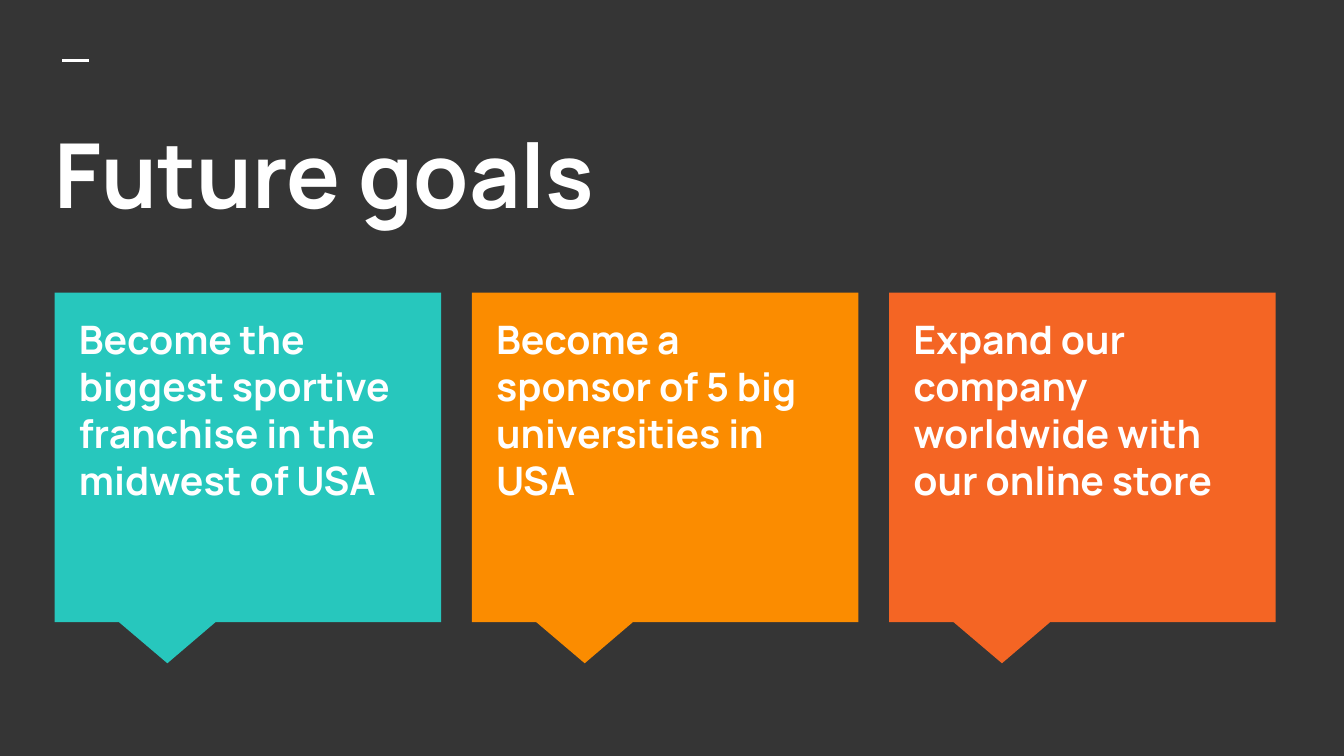
import pptx
import pptx.util
import pptx.dml.color
import pptx.enum.shapes
import pptx.enum.text
import pptx.oxml.ns
from dataclasses import dataclass
from lxml import etree
from pptx.util import Cm, Pt


@dataclass(frozen=True)
class Theme:
    back: str = "353535"
    text: str = "FFFFFF"
    cards: tuple = ("27C7BD", "FB8C00", "F46524")
    font: str = "Manrope"
    head: int = 48
    body: int = 21


THEME = Theme()
GOALS = (
    "Become the biggest sportive franchise in the midwest of USA",
    "Become a sponsor of 5 big universities in USA",
    "Expand our company worldwide with our online store",
)


def color(code):
    return pptx.dml.color.RGBColor.from_string(code)


def write(slide, words, size, left, top, width, height):
    box = slide.shapes.add_textbox(Cm(left), Cm(top), Cm(width), Cm(height))
    frame = box.text_frame
    frame.word_wrap = True
    frame.vertical_anchor = pptx.enum.text.MSO_ANCHOR.TOP
    frame.margin_left = frame.margin_right = Cm(0.25)
    frame.margin_top = frame.margin_bottom = Cm(0.25)
    para = frame.paragraphs[0]
    para.text = words
    font = para.font
    font.name, font.size, font.bold = THEME.font, Pt(size), True
    font.color.rgb = color(THEME.text)


def header(slide, left, top, width, height):
    """Short dash with the slide title below it."""
    dash = slide.shapes.add_connector(
        pptx.enum.shapes.MSO_CONNECTOR.STRAIGHT,
        Cm(left + 0.4), Cm(top), Cm(left + 0.9), Cm(top))
    dash.line.color.rgb = color(THEME.text)
    dash.line.width = Pt(1.5)
    props = dash._element.spPr
    etree.SubElement(props, pptx.oxml.ns.qn("a:effectLst"))
    write(slide, "Future goals", THEME.head,
          left, top + 0.84, width, height - 0.84)


def card(slide, words, fill, left, top, width, height):
    """Callout with a pointer at its foot and a goal inside."""
    shape = slide.shapes.add_shape(
        pptx.enum.shapes.MSO_SHAPE.RECTANGULAR_CALLOUT,
        Cm(left), Cm(top), Cm(width), Cm(height))
    shape.adjustments[0] = -0.208
    shape.adjustments[1] = 0.625
    shape.shadow.inherit = False
    shape.fill.solid()
    shape.fill.fore_color.rgb = color(fill)
    shape.line.fill.background()
    write(slide, words, THEME.body,
          left + 0.21, top + 0.18, width - 0.42, height - 0.68)


def goals(slide, left, top, width, height):
    """Row of equal cards."""
    gap = 0.58
    count = len(GOALS)
    wide = (width - gap * (count - 1)) / count
    for i, (words, fill) in enumerate(zip(GOALS, THEME.cards)):
        card(slide, words, fill, left + i * (wide + gap), top, wide, height)


def main():
    deck = pptx.Presentation()
    deck.slide_width, deck.slide_height = Cm(25.4), Cm(14.29)
    slide = deck.slides.add_slide(deck.slide_layouts[6])
    slide.background.fill.solid()
    slide.background.fill.fore_color.rgb = color(THEME.back)
    header(slide, 0.78, 1.15, 23.95, 3.68)
    goals(slide, 1.03, 5.53, 23.08, 6.23)
    deck.save("out.pptx")


if __name__ == "__main__":
    main()
